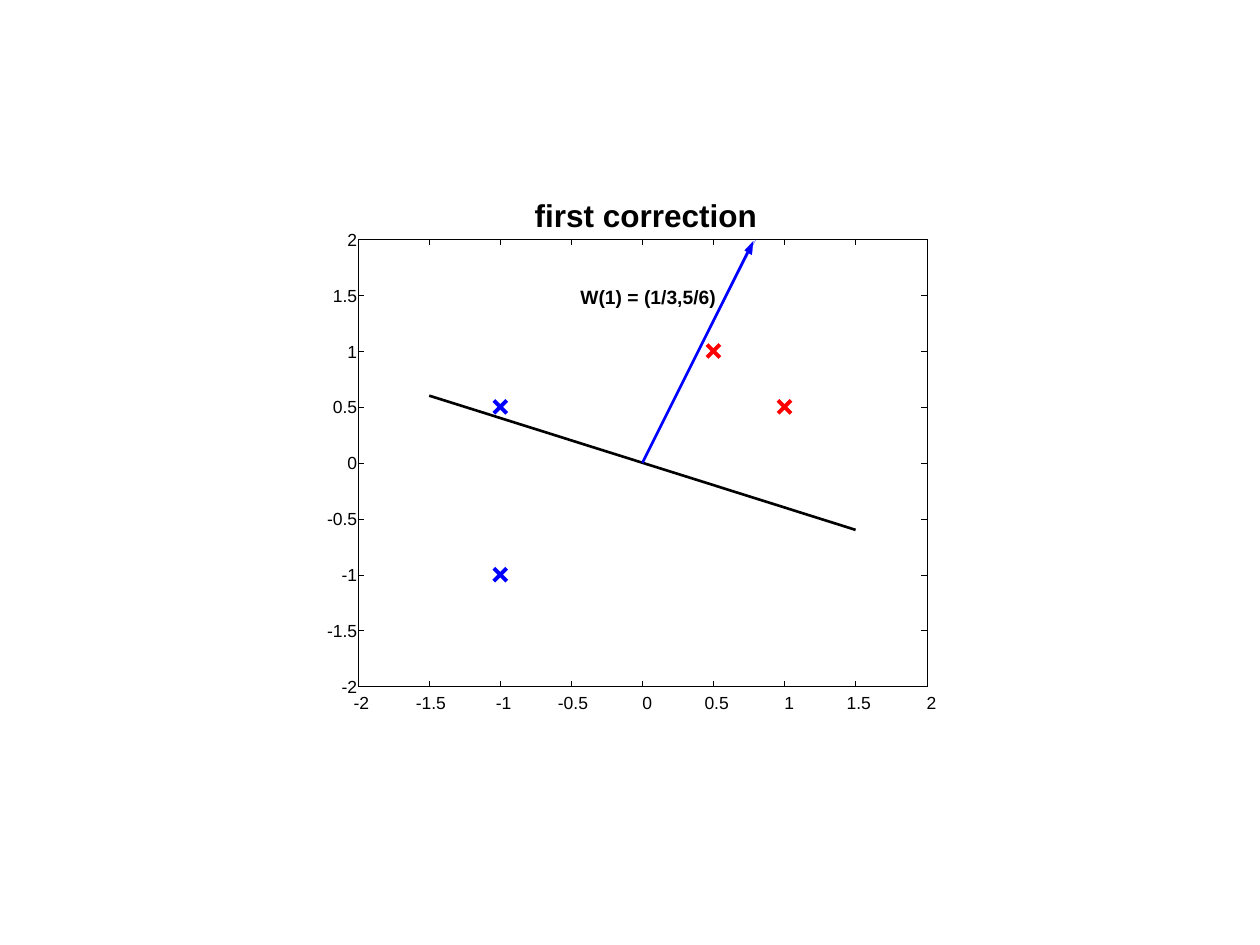
from typing import NamedTuple

from lxml import etree
from pptx import Presentation
from pptx import util as u
from pptx.dml.color import RGBColor
from pptx.enum import shapes, text
from pptx.oxml import ns

BLACK = RGBColor(0x00, 0x00, 0x00)
WHITE = RGBColor(0xFF, 0xFF, 0xFF)
BLUE = RGBColor(0x00, 0x00, 0xFF)
RED = RGBColor(0xFF, 0x00, 0x00)

LEFT, TOP, WIDTH, HEIGHT = 7.22, 4.82, 11.46, 9.02
RIGHT, BOTTOM = LEFT + WIDTH, TOP + HEIGHT
LIMIT = 2
TICK = 0.11
HALF_MARK = 0.13
HAIRLINE = 0.1
TICK_VALUES = [i / 2 for i in range(-4, 5)]


class Sample(NamedTuple):
    x: float
    y: float
    color: RGBColor


SAMPLES = [
    Sample(-1, -1, BLUE),
    Sample(-1, 0.5, BLUE),
    Sample(0.5, 1, RED),
    Sample(1, 0.5, RED),
]
ARROWHEAD = [(0.74, 1.88), (0.72, 1.9), (0.78, 1.98), (0.77, 1.86)]


def to_cm(x: float, y: float) -> tuple[float, float]:
    """Map plot values to slide centimetres."""
    return (LEFT + (x + LIMIT) * WIDTH / (2 * LIMIT),
            BOTTOM - (y + LIMIT) * HEIGHT / (2 * LIMIT))


def add_line(s, x1: float, y1: float, x2: float, y2: float,
             color: RGBColor = BLACK, weight: float = HAIRLINE) -> None:
    """Draw a straight line between two points in centimetres."""
    c = s.shapes.add_connector(shapes.MSO_CONNECTOR.STRAIGHT,
                               u.Cm(x1), u.Cm(y1), u.Cm(x2), u.Cm(y2))
    c.line.color.rgb = color
    c.line.width = u.Pt(weight)
    etree.SubElement(c._element.spPr, ns.qn("a:effectLst"))


def add_path(s, points: list[tuple[float, float]], color: RGBColor,
             weight: float = HAIRLINE, filled: bool = False) -> None:
    """Draw a polyline or a filled polygon through plot values."""
    pts = [tuple(u.Cm(v) for v in to_cm(*p)) for p in points]
    fb = s.shapes.build_freeform(*pts[0])
    fb.add_line_segments(pts[1:], close=filled)
    sp = fb.convert_to_shape()
    sp.shadow.inherit = False
    if filled:
        sp.fill.solid()
        sp.fill.fore_color.rgb = color
    else:
        sp.fill.background()
    sp.line.color.rgb = color
    sp.line.width = u.Pt(weight)


def add_text(s, content: str, left: float, top: float, width: float,
             height: float = 0.43, *, size: float = 10, bold: bool = False,
             align=text.PP_ALIGN.LEFT) -> None:
    """Place one unwrapped line of text in a box without margins."""
    tf = s.shapes.add_textbox(u.Cm(left), u.Cm(top),
                              u.Cm(width), u.Cm(height)).text_frame
    tf.margin_left = tf.margin_right = tf.margin_top = tf.margin_bottom = 0
    tf.word_wrap = False
    tf.auto_size = text.MSO_AUTO_SIZE.SHAPE_TO_FIT_TEXT
    p = tf.paragraphs[0]
    p.alignment = align
    r = p.add_run()
    r.text = content
    r.font.name = "Arial"
    r.font.size = u.Pt(size)
    r.font.bold = bold
    r.font.color.rgb = BLACK


def add_ticks(s, value: float) -> None:
    """Draw the ticks and labels of one value on both axes."""
    x, y = to_cm(value, value)
    label = f"{value:g}"
    extra = len(label) - 1
    width = 0.22 + 0.15 * extra
    add_line(s, x, BOTTOM, x, BOTTOM - TICK)
    add_line(s, x, TOP, x, TOP + TICK)
    add_text(s, label, x - 0.09 * extra, BOTTOM + 0.12, width)
    add_line(s, LEFT, y, LEFT + TICK, y)
    add_line(s, RIGHT, y, RIGHT - TICK, y)
    add_text(s, label, LEFT - 0.02 - width, y - 0.21, width,
             align=text.PP_ALIGN.RIGHT)


def add_frame(s) -> None:
    """Draw the white plot area and its four edges."""
    sp = s.shapes.add_shape(shapes.MSO_SHAPE.RECTANGLE, u.Cm(LEFT), u.Cm(TOP),
                            u.Cm(WIDTH), u.Cm(HEIGHT))
    sp.shadow.inherit = False
    sp.fill.solid()
    sp.fill.fore_color.rgb = WHITE
    sp.line.color.rgb = WHITE
    sp.line.width = u.Pt(HAIRLINE)
    for y in (TOP, BOTTOM):
        add_line(s, LEFT, y, RIGHT, y)
    for x in (RIGHT, LEFT):
        add_line(s, x, BOTTOM, x, TOP)


def add_sample(s, sample: Sample) -> None:
    """Draw one sample as a cross."""
    x, y = to_cm(sample.x, sample.y)
    for dx in (-HALF_MARK, HALF_MARK):
        add_line(s, x + dx, y - HALF_MARK, x - dx, y + HALF_MARK,
                 sample.color, 2.25)


def main() -> None:
    """Build the slide and save it."""
    prs = Presentation()
    prs.slide_width, prs.slide_height = u.Cm(25.4), u.Cm(19.05)
    s = prs.slides.add_slide(prs.slide_layouts[6])
    add_frame(s)
    for value in TICK_VALUES:
        add_ticks(s, value)
    for sample in SAMPLES:
        add_sample(s, sample)
    add_text(s, "first correction", 10.78, 3.96, 4.6, 0.76, size=18, bold=True)
    add_path(s, [(i / 10, i / 4) for i in range(9)], BLUE)
    add_path(s, [(i / 10, -0.04 * i) for i in range(-15, 16)], BLACK, 1.5)
    add_line(s, *to_cm(0, 0), *to_cm(*ARROWHEAD[0]), BLUE, 1.5)
    add_path(s, ARROWHEAD, BLUE, filled=True)
    add_text(s, "W(1) = (1/3,5/6)", 11.7, 5.76, 2.86, 0.46, size=11, bold=True)
    prs.save("out.pptx")


if __name__ == "__main__":
    main()
